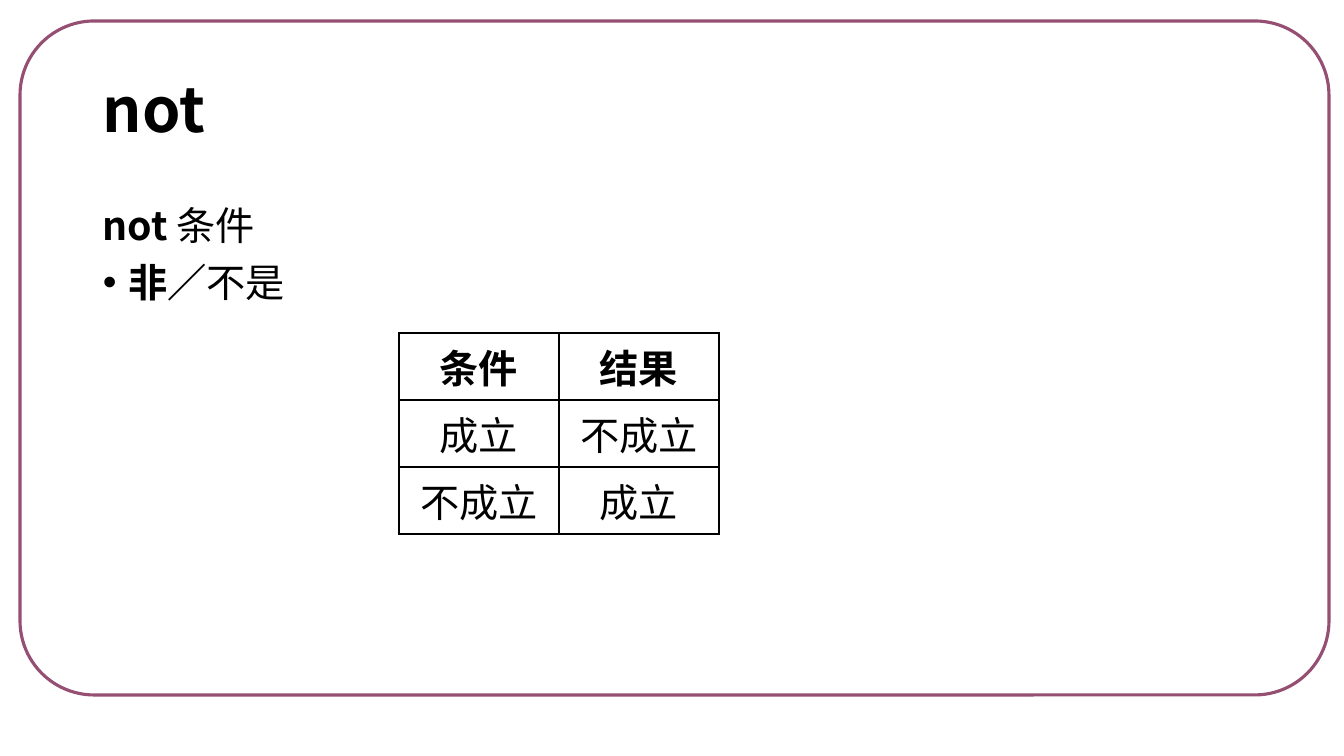
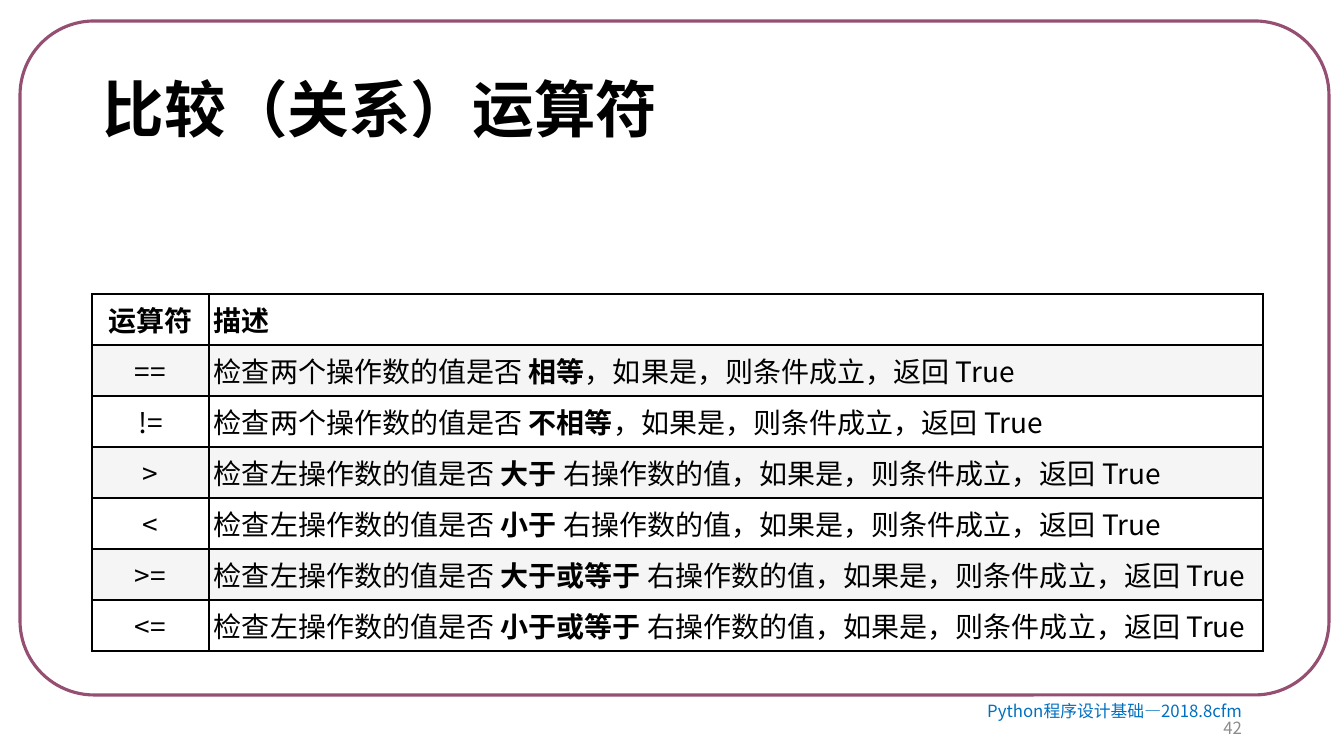
from dataclasses import dataclass

from pptx import Presentation
from pptx import util as u
from pptx.dml.color import RGBColor
from pptx.enum import shapes, text
from pptx.oxml import ns, xmlchemy

PX = 914400 / 100.8  # EMU in one px


@dataclass(frozen=True)
class Theme:
    font: str = "Noto Sans CJK SC"
    ink: str = "000000"
    frame: str = "954F72"
    band: str = "F5F5F5"
    footer: str = "0070C0"
    number: str = "8C8C8C"
    title_size: int = 44
    body_size: int = 28
    table_size: int = 20
    footer_size: int = 12


theme = Theme()


def write(paragraph, marked_text, size, color=theme.ink):
    """Fill a paragraph; text between ** marks is bold."""
    for index, part in enumerate(marked_text.split("**")):
        if not part:
            continue
        run = paragraph.add_run()
        run.text = part
        run.font.name = theme.font
        run.font.size = u.Pt(size)
        run.font.bold = index % 2 == 1
        run.font.color.rgb = RGBColor.from_string(color)
        east_asian = xmlchemy.OxmlElement("a:ea")
        east_asian.set("typeface", theme.font)
        run.font._element.append(east_asian)


def add_grid(slide, left, top, widths, row_height, rows, size, centered, banded):
    """Add a ruled table; centered holds the centred column numbers."""
    table = slide.shapes.add_table(
        len(rows), len(widths), round(left * PX), round(top * PX),
        round(sum(widths) * PX), round(row_height * len(rows) * PX)).table
    table.first_row = table.horz_banding = False
    for column, width in zip(table.columns, widths):
        column.width = round(width * PX)
    for row_index, row in enumerate(rows):
        table.rows[row_index].height = round(row_height * PX)
        for column_index, value in enumerate(row):
            cell = table.cell(row_index, column_index)
            cell.margin_left = cell.margin_right = round(5 * PX)
            cell.margin_top = cell.margin_bottom = round(5 * PX)
            cell.vertical_anchor = text.MSO_ANCHOR.MIDDLE
            if banded and row_index % 2:
                cell.fill.solid()
                cell.fill.fore_color.rgb = RGBColor.from_string(theme.band)
            else:
                cell.fill.background()
            paragraph = cell.text_frame.paragraphs[0]
            if column_index in centered:
                paragraph.alignment = text.PP_ALIGN.CENTER
            write(paragraph, value if row_index else f"**{value}**", size)
            # Borders come before the fill in the cell properties
            properties = cell._tc.get_or_add_tcPr()
            for position, side in enumerate(("lnL", "lnR", "lnT", "lnB")):
                border = xmlchemy.OxmlElement(f"a:{side}")
                border.set("w", str(u.Pt(1)))
                fill = xmlchemy.OxmlElement("a:solidFill")
                color = xmlchemy.OxmlElement("a:srgbClr")
                color.set("val", theme.ink)
                fill.append(color)
                border.append(fill)
                properties.insert(position, border)


presentation = Presentation()
presentation.slide_width = round(1344 * PX)
presentation.slide_height = round(756 * PX)

# Shared frame and title
slides = []
for title in ("not", "比较（关系）运算符"):
    slide = presentation.slides.add_slide(presentation.slide_layouts[6])
    slides.append(slide)
    frame = slide.shapes.add_shape(
        shapes.MSO_SHAPE.ROUNDED_RECTANGLE,
        round(20 * PX), round(21 * PX), round(1309 * PX), round(674 * PX))
    frame.adjustments[0] = 0.11
    frame.shadow.inherit = False
    frame.fill.background()
    frame.line.color.rgb = RGBColor.from_string(theme.frame)
    frame.line.width = u.Pt(2.25)

    title_box = slide.shapes.add_textbox(
        round(93 * PX), round(40 * PX), round(1159 * PX), round(146 * PX))
    title_box.text_frame.word_wrap = True
    title_box.text_frame.vertical_anchor = text.MSO_ANCHOR.MIDDLE
    paragraph = title_box.text_frame.paragraphs[0]
    paragraph.line_spacing = 0.9
    write(paragraph, f"**{title}**", theme.title_size)

not_slide, comparison_slide = slides

# Slide 1: syntax and meaning
body_box = not_slide.shapes.add_textbox(
    round(93 * PX), round(202 * PX), round(1159 * PX), round(480 * PX))
body = body_box.text_frame
body.word_wrap = True
syntax, meaning = body.paragraphs[0], body.add_paragraph()
for paragraph, line in ((syntax, "**not **条件"), (meaning, "**非／**不是")):
    paragraph.line_spacing = 0.9
    paragraph.space_before = u.Pt(10)
    write(paragraph, line, theme.body_size)
properties = meaning._p.get_or_add_pPr()
properties.set("marL", str(u.Inches(0.25)))
properties.set("indent", str(-u.Inches(0.25)))
bullet_font = xmlchemy.OxmlElement("a:buFont")
bullet_font.set("typeface", "Arial")
bullet = xmlchemy.OxmlElement("a:buChar")
bullet.set("char", "•")
properties.extend((bullet_font, bullet))

# Slide 1: truth table
truth_rows = [("条件", "结果"), ("成立", "不成立"), ("不成立", "成立")]
add_grid(not_slide, 399, 333, (160, 160), 67, truth_rows,
         theme.body_size, centered=(0, 1), banded=False)

# Slide 2: comparison operators
operators = [
    ("==", "两个", "相等", ""),
    ("!=", "两个", "不相等", ""),
    (">", "左", "大于", " 右操作数的值"),
    ("<", "左", "小于", " 右操作数的值"),
    (">=", "左", "大于或等于", " 右操作数的值"),
    ("<=", "左", "小于或等于", " 右操作数的值"),
]
operator_rows = [("运算符", "描述")] + [
    (operator, f"检查{operand}操作数的值是否 **{relation}**{other}，如果是，则条件成立，返回 True")
    for operator, operand, relation, other in operators]
add_grid(comparison_slide, 92, 294, (117, 1054), 51, operator_rows,
         theme.table_size, centered=(0,), banded=True)

# Slide 2: footer and slide number
footer_box = comparison_slide.shapes.add_textbox(
    round(950 * PX), round(701 * PX), round(302 * PX), round(40 * PX))
footer = footer_box.text_frame
footer.word_wrap = True
footer.vertical_anchor = text.MSO_ANCHOR.MIDDLE
footer_lines = (("Python程序设计基础—2018.8cfm", theme.footer), ("42", theme.number))
for paragraph, (line, color) in zip(
        (footer.paragraphs[0], footer.add_paragraph()), footer_lines):
    paragraph.alignment = text.PP_ALIGN.RIGHT
    paragraph.line_spacing = 0.82
    write(paragraph, line, theme.footer_size, color)

presentation.save("out.pptx")
